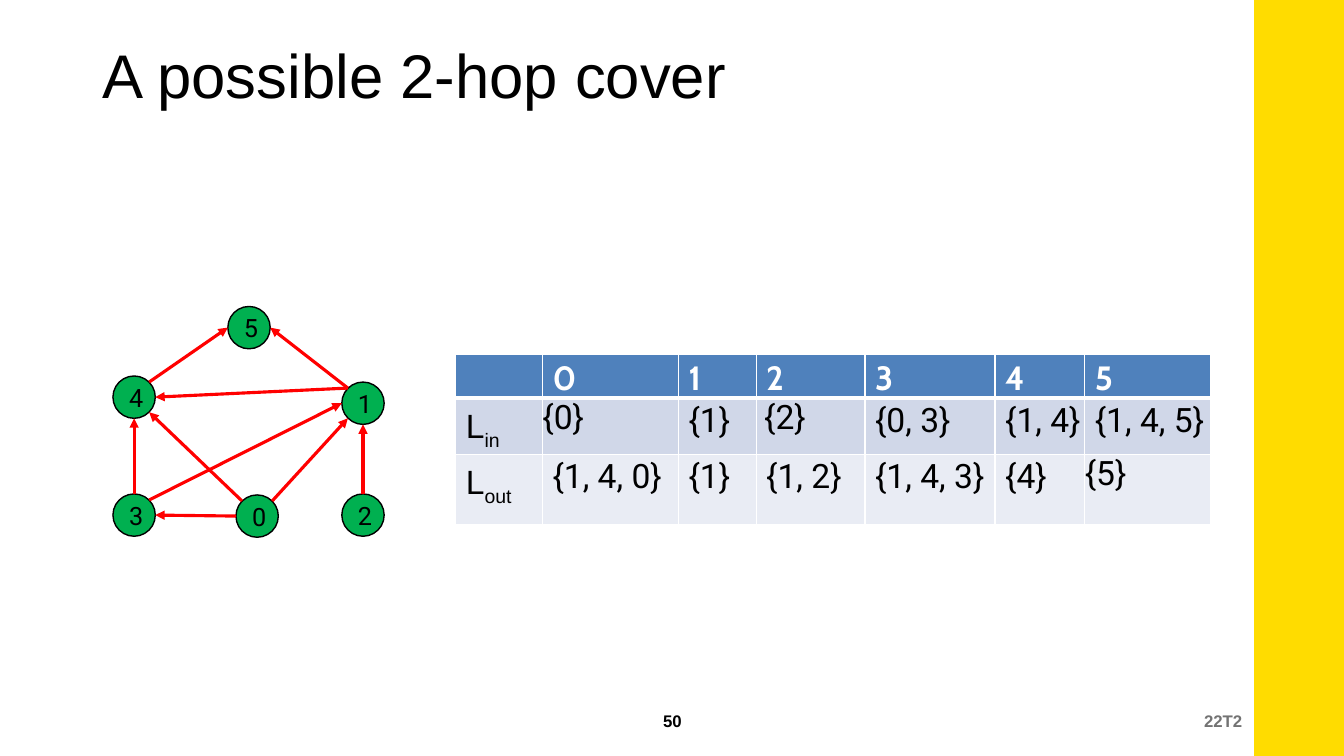
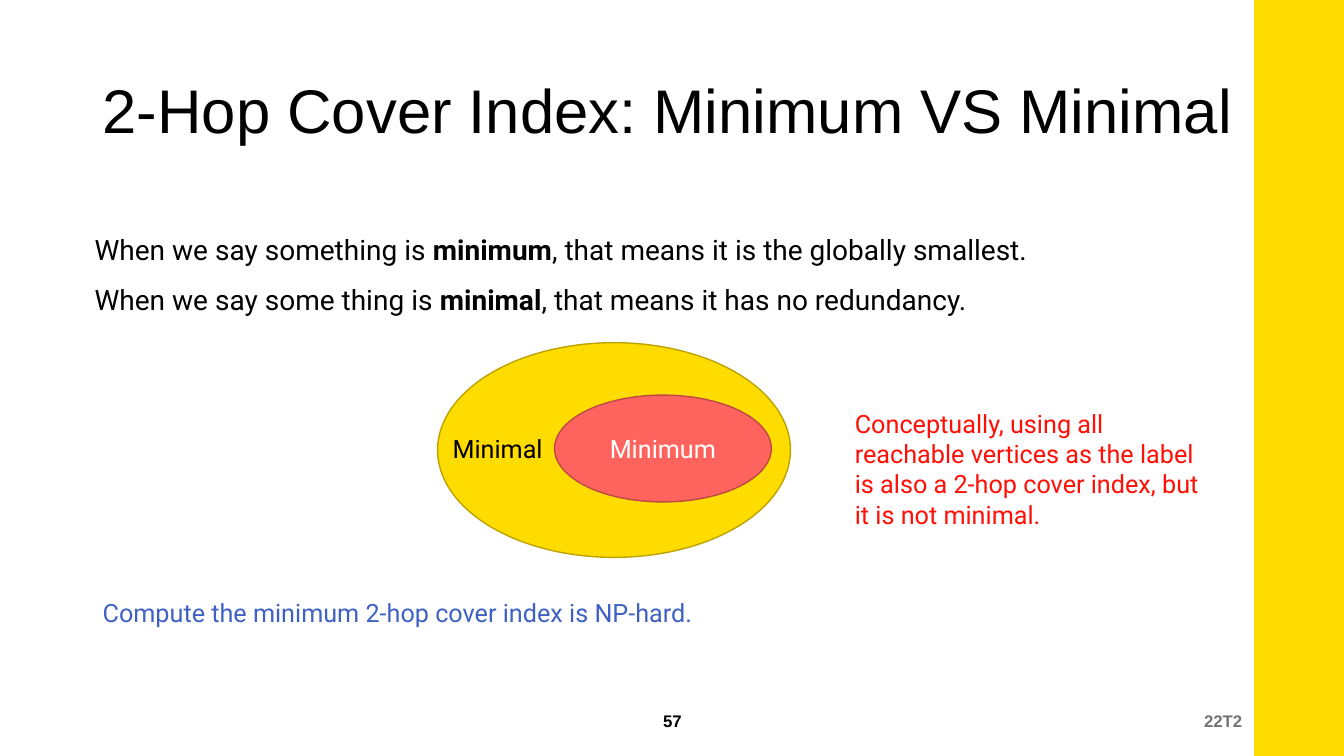
from dataclasses import dataclass
from enum import Enum
from math import cos, radians, sin
from typing import NamedTuple, Sequence

from lxml.etree import SubElement
from pptx import Presentation
from pptx.dml.color import RGBColor
from pptx.enum.shapes import MSO_CONNECTOR, MSO_SHAPE
from pptx.enum.text import MSO_ANCHOR as Anchor, PP_ALIGN as Align
from pptx.oxml.ns import qn
from pptx.shapes.autoshape import Shape
from pptx.slide import Slide
from pptx.table import _Cell as TableCell
from pptx.text.text import TextFrame, _Run as TextRun
from pptx.util import Emu, Pt

PX = 9144  # 100 px to the inch

BLACK = RGBColor(0x00, 0x00, 0x00)
WHITE = RGBColor(0xFF, 0xFF, 0xFF)
GREY = RGBColor(0x73, 0x73, 0x73)
YELLOW = RGBColor(0xFF, 0xDC, 0x00)
DARK_YELLOW = RGBColor(0xBD, 0xA3, 0x00)
CORAL = RGBColor(0xFF, 0x63, 0x5D)
DARK_CORAL = RGBColor(0xBD, 0x49, 0x45)
GREEN = RGBColor(0x00, 0xB0, 0x50)
EDGE_RED = RGBColor(0xFF, 0x00, 0x00)
NOTE_RED = RGBColor(0xFF, 0x0F, 0x06)
NOTE_BLUE = RGBColor(0x3F, 0x61, 0xC4)
HEADER_BLUE = RGBColor(0x4F, 0x81, 0xBC)
ROW_FILLS = (HEADER_BLUE, RGBColor(0xD0, 0xD7, 0xE8), RGBColor(0xE9, 0xEC, 0xF4))


class Box(NamedTuple):
    left: int
    top: int
    width: int
    height: int


class Span(NamedTuple):
    text: str
    bold: bool = False


@dataclass(frozen=True)
class TextStyle:
    size: int
    color: RGBColor = BLACK
    font: str = "Roboto"
    bold: bool = False
    align: Align = Align.LEFT
    anchor: Anchor = Anchor.TOP
    spacing: float = 1.0
    wrap: bool = True


TITLE = TextStyle(44, font="Arial", spacing=0.9)
CENTRED_TITLE = TextStyle(44, font="Arial", spacing=0.9, anchor=Anchor.MIDDLE)
TERM = TextStyle(12, GREY, "Arial", True, Align.RIGHT, Anchor.MIDDLE)
PAGE_NUMBER = TextStyle(12, BLACK, "Arial", True, Align.CENTER, Anchor.MIDDLE)
BODY = TextStyle(20, spacing=1.5)
NODE_LABEL = TextStyle(18, align=Align.CENTER, anchor=Anchor.MIDDLE)
SET_LABEL = TextStyle(18, WHITE, align=Align.CENTER, anchor=Anchor.MIDDLE)
HEADER_CELL = TextStyle(24, WHITE, "Cabin", True)
LABEL_CELL = TextStyle(24, font="Arial")
VALUE_CELL = TextStyle(24)

NODE_RADIUS = 21


class Side(Enum):
    """Angle of a point on a node's rim, clockwise from the right."""
    RIGHT = 0
    BOTTOM_RIGHT = 45
    BOTTOM = 90
    BOTTOM_LEFT = 135
    LEFT = 180
    TOP_LEFT = 225
    TOP = 270
    TOP_RIGHT = 315


class Node(NamedTuple):
    x: int
    y: int

    def rim(self, side: Side) -> tuple[int, int]:
        angle = radians(side.value)
        return (round(self.x + NODE_RADIUS * cos(angle)),
                round(self.y + NODE_RADIUS * sin(angle)))


class Edge(NamedTuple):
    source: int
    leaves: Side
    target: int
    enters: Side


NODES = (Node(255, 512), Node(360, 400), Node(360, 511),
         Node(133, 511), Node(133, 394), Node(247, 325))
EDGES = (
    Edge(0, Side.LEFT, 3, Side.RIGHT),
    Edge(0, Side.TOP_LEFT, 4, Side.BOTTOM_RIGHT),
    Edge(0, Side.TOP_RIGHT, 1, Side.BOTTOM_LEFT),
    Edge(1, Side.TOP_LEFT, 4, Side.RIGHT),
    Edge(1, Side.TOP_LEFT, 5, Side.RIGHT),
    Edge(2, Side.TOP, 1, Side.BOTTOM),
    Edge(3, Side.TOP, 4, Side.BOTTOM),
    Edge(3, Side.TOP_RIGHT, 1, Side.LEFT),
    Edge(4, Side.TOP_RIGHT, 5, Side.LEFT),
)


@dataclass(frozen=True)
class CoverCell:
    text: str
    style: TextStyle = VALUE_CELL
    subscript: str = ""
    left: int = 10
    top: int = 3


def header(text: str) -> CoverCell:
    return CoverCell(text, HEADER_CELL)


def row_label(subscript: str) -> CoverCell:
    return CoverCell("L", LABEL_CELL, subscript, top=10)


COLUMN_WIDTHS = (86, 135, 77, 108, 129, 89, 125)
ROW_HEIGHTS = (40, 52, 70)
COVER_ROWS = (
    [header(text) for text in ("", *"012345")],
    [row_label("in"), CoverCell("{0}", left=0, top=0), CoverCell("{1}"),
     CoverCell("{2}", left=8, top=0), CoverCell("{0, 3}"),
     CoverCell("{1, 4}"), CoverCell("{1, 4, 5}")],
    [row_label("out"), CoverCell("{1, 4, 0}"), CoverCell("{1}"),
     CoverCell("{1, 2}"), CoverCell("{1, 4, 3}"), CoverCell("{4}"),
     CoverCell("{5}", left=0, top=0)],
)


def px(length: int) -> Emu:
    return Emu(length * PX)


def scaled(lengths: Sequence[int]) -> list[Emu]:
    return [px(length) for length in lengths]


def format_run(run: TextRun, style: TextStyle, bold: bool = False) -> None:
    font = run.font
    font.name = style.font
    font.size = Pt(style.size)
    font.bold = style.bold or bold
    font.color.rgb = style.color


def write(frame: TextFrame, style: TextStyle, *lines: Sequence[Span]) -> None:
    frame.word_wrap = style.wrap
    frame.vertical_anchor = style.anchor
    for index, spans in enumerate(lines):
        paragraph = frame.add_paragraph() if index else frame.paragraphs[0]
        paragraph.alignment = style.align
        paragraph.line_spacing = style.spacing
        for span in spans:
            run = paragraph.add_run()
            run.text = span.text
            format_run(run, style, span.bold)


def add_text(slide: Slide, box: Box, style: TextStyle, *lines: Sequence[Span]) -> None:
    write(slide.shapes.add_textbox(*scaled(box)).text_frame, style, *lines)


def add_filled(slide: Slide, kind: MSO_SHAPE, box: Box, fill: RGBColor,
               outline: RGBColor | None = None) -> Shape:
    shape = slide.shapes.add_shape(kind, *scaled(box))
    shape.shadow.inherit = False
    shape.fill.solid()
    shape.fill.fore_color.rgb = fill
    if outline is None:
        shape.line.fill.background()
    else:
        shape.line.color.rgb = outline
        shape.line.width = Pt(1)
    return shape


def add_framed_slide(presentation: Presentation, title: str, title_style: TextStyle,
                     number: int) -> Slide:
    """Add a blank slide with the side band, footers and title."""
    slide = presentation.slides.add_slide(presentation.slide_layouts[6])
    add_filled(slide, MSO_SHAPE.RECTANGLE, Box(1244, 0, 90, 750), YELLOW)
    add_text(slide, Box(792, 695, 450, 40), TERM, [Span("22T2")])
    add_text(slide, Box(517, 695, 300, 40), PAGE_NUMBER, [Span(str(number))])
    add_text(slide, Box(92, 40, 1150, 145), title_style, [Span(title)])
    return slide


def add_node(slide: Slide, node: Node, label: str) -> None:
    box = Box(node.x - NODE_RADIUS, node.y - NODE_RADIUS,
              2 * NODE_RADIUS, 2 * NODE_RADIUS)
    frame = add_filled(slide, MSO_SHAPE.OVAL, box, GREEN, BLACK).text_frame
    frame.margin_top = frame.margin_right = frame.margin_bottom = 0
    frame.margin_left = px(4)
    write(frame, NODE_LABEL, [Span(label)])


def add_edge(slide: Slide, edge: Edge) -> None:
    ends = NODES[edge.source].rim(edge.leaves) + NODES[edge.target].rim(edge.enters)
    connector = slide.shapes.add_connector(MSO_CONNECTOR.STRAIGHT, *scaled(ends))
    connector.line.color.rgb = EDGE_RED
    connector.line.width = Pt(2.25)
    properties = connector._element.spPr
    SubElement(properties.find(qn("a:ln")), qn("a:tailEnd"), type="triangle")
    SubElement(properties, qn("a:effectLst"))


def set_cell(cell: TableCell, content: CoverCell, row: int) -> None:
    # Borders must precede the fill in the cell properties.
    properties = cell._tc.get_or_add_tcPr()
    heavy_side = {0: "lnB", 1: "lnT"}.get(row)
    for side in ("lnL", "lnR", "lnT", "lnB"):
        width = Pt(3 if side == heavy_side else 1)
        line = SubElement(properties, qn(f"a:{side}"), w=str(width))
        SubElement(SubElement(line, qn("a:solidFill")), qn("a:srgbClr"), val=str(WHITE))
    cell.fill.solid()
    cell.fill.fore_color.rgb = ROW_FILLS[row]
    cell.margin_left, cell.margin_top = px(content.left), px(content.top)
    cell.margin_right = cell.margin_bottom = 0
    paragraph = cell.text_frame.paragraphs[0]
    if content.text:
        paragraph.text = content.text
        format_run(paragraph.runs[0], content.style)
    if content.subscript:
        run = paragraph.add_run()
        run.text = content.subscript
        format_run(run, content.style)
        run._r.get_or_add_rPr().set("baseline", "-25000")


def add_cover_table(slide: Slide) -> None:
    box = Box(452, 352, sum(COLUMN_WIDTHS), sum(ROW_HEIGHTS))
    table = slide.shapes.add_table(len(ROW_HEIGHTS), len(COLUMN_WIDTHS),
                                   *scaled(box)).table
    for column, width in zip(table.columns, COLUMN_WIDTHS):
        column.width = px(width)
    for index, (row, height) in enumerate(zip(table.rows, ROW_HEIGHTS)):
        row.height = px(height)
        for cell, content in zip(row.cells, COVER_ROWS[index]):
            set_cell(cell, content, index)


def build_cover_slide(presentation: Presentation) -> None:
    slide = add_framed_slide(presentation, "A possible 2-hop cover", TITLE, 50)
    add_cover_table(slide)
    for label, node in enumerate(NODES):
        add_node(slide, node, str(label))
    for edge in EDGES:
        add_edge(slide, edge)


def build_minimal_slide(presentation: Presentation) -> None:
    slide = add_framed_slide(presentation, "2-Hop Cover Index: Minimum VS Minimal",
                             CENTRED_TITLE, 57)
    add_text(slide, Box(84, 209, 1000, 105), BODY,
             [Span("When we say something is "), Span("minimum", True),
              Span(", that means it is the globally smallest.")],
             [Span("When we say some thing is "), Span("minimal", True),
              Span(", that means it has no redundancy.")])
    add_filled(slide, MSO_SHAPE.OVAL, Box(434, 340, 350, 213), YELLOW, DARK_YELLOW)
    minimum = add_filled(slide, MSO_SHAPE.OVAL, Box(550, 392, 215, 106),
                         CORAL, DARK_CORAL)
    write(minimum.text_frame, SET_LABEL, [Span("Minimum")])
    add_text(slide, Box(439, 425, 110, 40), TextStyle(18, wrap=False), [Span("Minimal")])
    add_text(slide, Box(92, 573, 667, 50), TextStyle(18, NOTE_BLUE, spacing=1.5),
             [Span("Compute the minimum 2-hop cover index is NP-hard.")])
    add_text(slide, Box(838, 400, 378, 131), TextStyle(18, NOTE_RED),
             [Span("Conceptually, using all reachable vertices as the label "
                   "is also a 2-hop cover index, but it is not minimal.")])


def main() -> None:
    presentation = Presentation()
    presentation.slide_width, presentation.slide_height = px(1333), px(750)
    build_cover_slide(presentation)
    build_minimal_slide(presentation)
    presentation.save("out.pptx")


if __name__ == "__main__":
    main()
